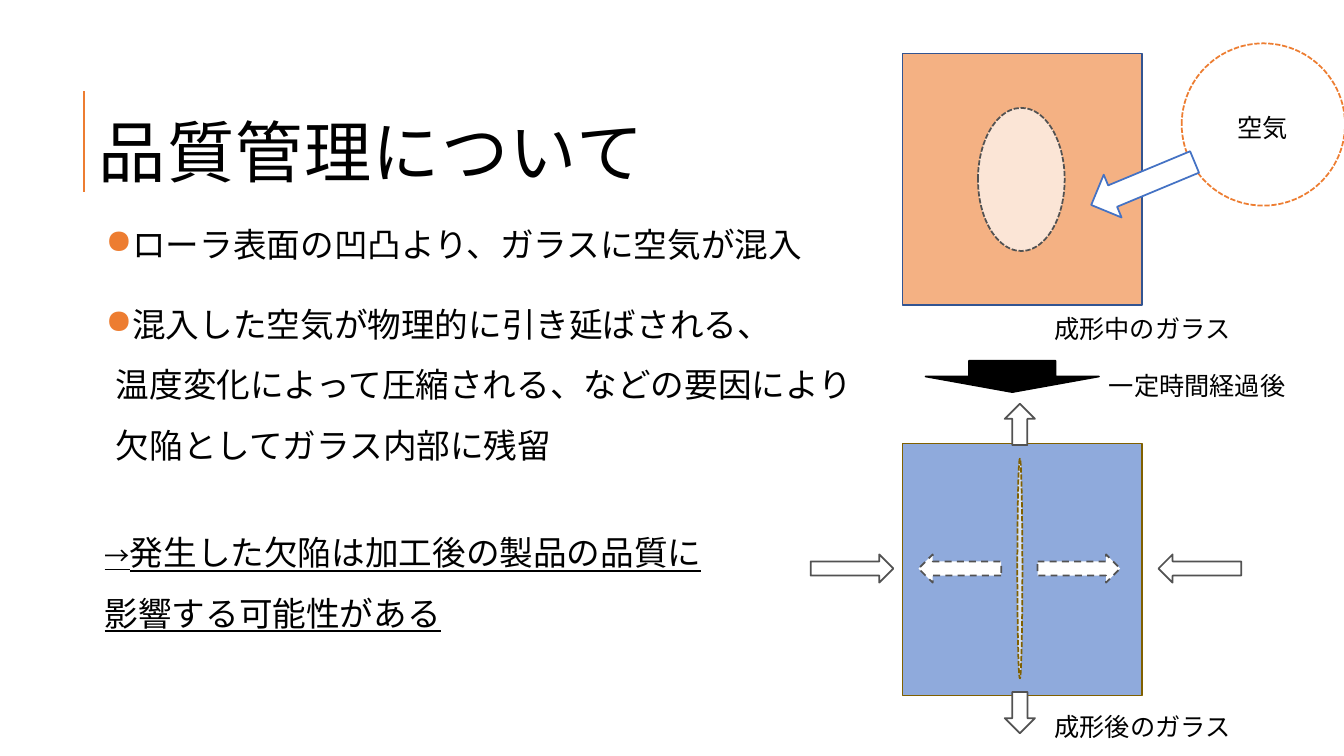
from lxml import etree
from pptx import Presentation
from pptx import util as u
from pptx.dml.color import RGBColor
from pptx.enum import dml, lang, shapes, text
from pptx.oxml.ns import qn

COLORS = {
    "black": "000000", "white": "FFFFFF", "orange": "ED7D31",
    "hot_glass": "F4B183", "hot_edge": "325491", "bubble": "FBE5D6",
    "cold_glass": "8FAADC", "cold_edge": "806000", "defect": "DAE3F3",
    "blue": "4472C4", "gray": "525252",
}
KIND = shapes.MSO_SHAPE
DASH = dml.MSO_LINE


def color(name):
    return RGBColor.from_string(COLORS[name])


def add_figure(parent, kind, left, top, width, height, fill, edge, dash=None, rotation=0):
    figure = parent.add_shape(kind, *map(u.Inches, (left, top, width, height)))
    figure.shadow.inherit = False
    figure.fill.solid()
    figure.fill.fore_color.rgb = color(fill)
    figure.line.color.rgb = color(edge)
    figure.line.width = u.Pt(1.25)
    if dash:
        figure.line.dash_style = dash
    figure.rotation = rotation


def add_arrow(parent, left, top, width, height, rotation=0, edge="gray", dash=None):
    add_figure(parent, KIND.RIGHT_ARROW, left, top, width, height, "white", edge, dash, rotation)


def add_rule(page, left, top, bottom):
    rule = page.shapes.add_connector(
        shapes.MSO_CONNECTOR.STRAIGHT, *map(u.Inches, (left, bottom, left, top)))
    rule.line.color.rgb = color("orange")
    rule.line.width = u.Pt(1.5)
    etree.SubElement(rule._element.spPr, qn("a:effectLst"))


def add_box(page, left, top, width, height, wrap=True, grow=True, anchor=text.MSO_ANCHOR.TOP):
    box = page.shapes.add_textbox(*map(u.Inches, (left, top, width, height)))
    frame = box.text_frame
    frame.word_wrap = wrap
    frame.auto_size = text.MSO_AUTO_SIZE.SHAPE_TO_FIT_TEXT if grow else text.MSO_AUTO_SIZE.NONE
    frame.vertical_anchor = anchor
    return frame


def add_bullet(para):
    props = para._p.get_or_add_pPr()
    props.set("marL", str(u.Inches(0.1)))
    props.set("indent", str(u.Inches(-0.1)))
    tint = etree.SubElement(props, qn("a:buClr"))
    etree.SubElement(tint, qn("a:srgbClr")).set("val", COLORS["orange"])
    etree.SubElement(props, qn("a:buChar")).set("char", "●")


def add_words(para, words, size=18, font="Calibri", underline=None, spacing=None):
    for number, line in enumerate(words.split("\n")):
        if number:
            para.add_line_break()
        span = para.add_run()
        span.text = line
        span.font.size = u.Pt(size)
        span.font.name = font
        span.font.color.rgb = color("black")
        span.font.underline = underline
        span.font.language_id = lang.MSO_LANGUAGE_ID.JAPANESE
        if spacing:
            span.font._element.set("spc", str(int(spacing * 100)))


def add_label(page, words, left, top, width, wrap=True):
    para = add_box(page, left, top, width, 0.4, wrap).paragraphs[0]
    para.alignment = text.PP_ALIGN.CENTER if wrap else text.PP_ALIGN.LEFT
    add_words(para, words)


def add_title(page, words):
    frame = add_box(page, 0.88, 0.78, 6.61, 1.58, grow=False, anchor=text.MSO_ANCHOR.MIDDLE)
    para = frame.paragraphs[0]
    para.line_spacing = 0.8
    add_words(para, words, size=48, spacing=1)


def add_points(page, points):
    frame = add_box(page, 0.95, 1.97, 7.82, 3.47, grow=False)
    for number, words in enumerate(points):
        para = frame.add_paragraph() if number else frame.paragraphs[0]
        para.line_spacing = 1.5
        para.space_before = u.Pt(12 if number else 0)
        para.space_after = u.Pt(2)
        add_bullet(para)
        add_words(para, words, size=24, font="Arial")


def add_conclusion(page, words):
    para = add_box(page, 0.94, 5.03, 7.98, 1.26).paragraphs[0]
    para.line_spacing = 1.5
    add_words(para, "→", font="Arial", underline=True)
    add_words(para, words, size=24, font="Arial", underline=True)


def add_hot_glass(page):
    glass = page.shapes.add_group_shape().shapes
    add_figure(glass, KIND.RECTANGLE, 8.95, 0.53, 2.38, 2.5, "hot_glass", "hot_edge")
    add_figure(glass, KIND.OVAL, 9.7, 1.07, 0.86, 1.42, "bubble", "gray", DASH.SQUARE_DOT)


def add_cold_glass(page):
    glass = page.shapes.add_group_shape().shapes
    add_figure(glass, KIND.RECTANGLE, 8.95, 4.4, 2.38, 2.5, "cold_glass", "cold_edge")
    add_figure(glass, KIND.OVAL, 10.09, 4.55, 0.05, 2.18, "defect", "cold_edge", DASH.SQUARE_DOT)
    for left, rotation, dash in (
        (8.04, 0, None), (11.49, 180, None), (10.29, 0, DASH.DASH), (9.11, 180, DASH.DASH),
    ):
        add_arrow(glass, left, 5.5, 0.82, 0.28, rotation, dash=dash)
    for top, rotation in ((4.06, 270), (6.92, 90)):
        add_arrow(page.shapes, 9.91, top, 0.41, 0.3, rotation)


def main():
    deck = Presentation()
    deck.slide_width = u.Inches(13.33)
    deck.slide_height = u.Inches(7.5)
    page = deck.slides.add_slide(deck.slide_layouts[6])

    add_rule(page, 0.83, 0.9, 1.9)
    add_figure(page.shapes, KIND.OVAL, 11.72, 0.43, 1.62, 1.61, "white", "orange", DASH.SQUARE_DOT)
    add_hot_glass(page)
    add_arrow(page.shapes, 10.78, 1.59, 1.11, 0.46, 157.4, "blue")
    add_label(page, "空気", 11.93, 1.07, 1.19)
    add_figure(page.shapes, KIND.DOWN_ARROW, 9.18, 3.58, 1.72, 0.31, "black", "black")
    add_label(page, "一定時間経過後", 10.9, 3.62, 1.97, wrap=False)
    add_label(page, "成形中のガラス", 10.33, 3.06, 2)
    add_title(page, "品質管理について")
    add_label(page, "成形後のガラス", 10.14, 7.01, 2.38)
    add_points(page, (
        "ローラ表面の凹凸より、ガラスに空気が混入",
        "混入した空気が物理的に引き延ばされる、\n"
        "温度変化によって圧縮される、などの要因により\n"
        "欠陥としてガラス内部に残留",
    ))
    add_conclusion(page, "発生した欠陥は加工後の製品の品質に\n影響する可能性がある")
    add_cold_glass(page)
    deck.save("out.pptx")


if __name__ == "__main__":
    main()
